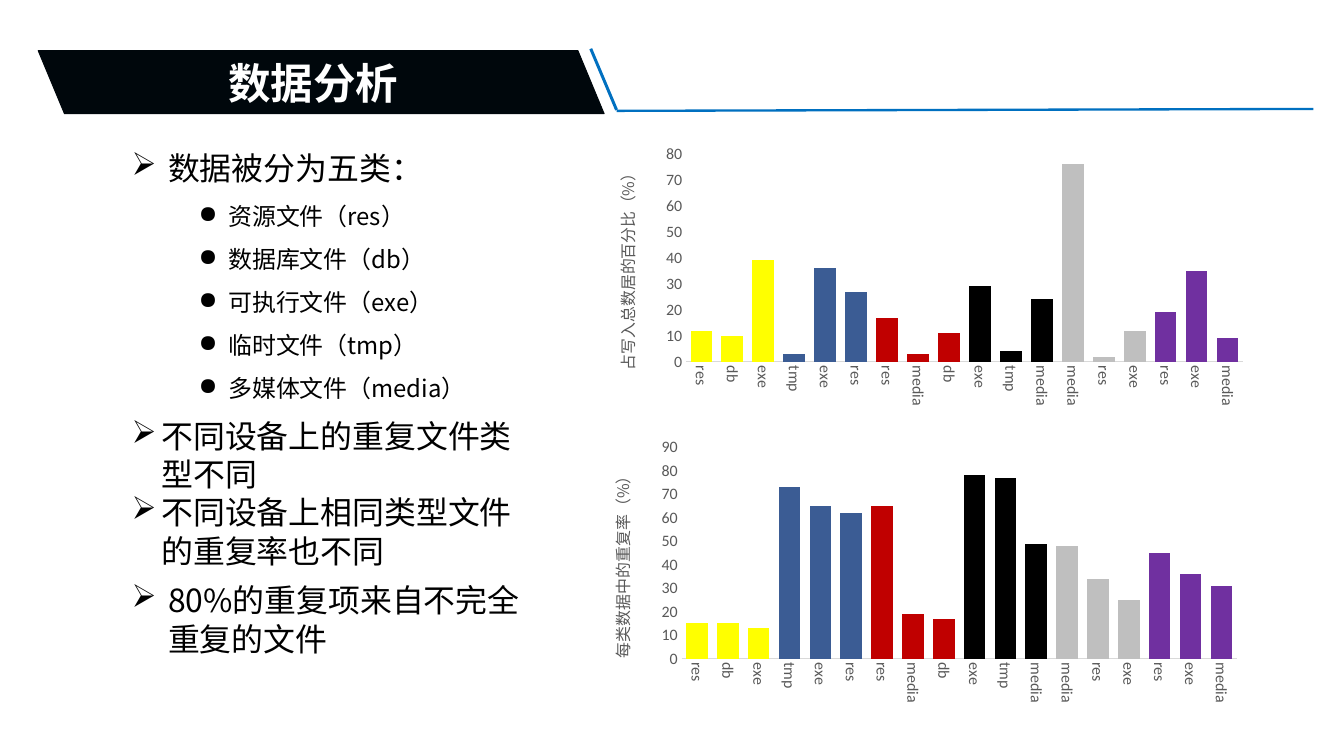
"""Build the data analysis slide: a banner, three bullet lists and two bar charts."""
from lxml import etree
from pptx import Presentation
from pptx import util as u
from pptx.chart import data
from pptx.dml.color import RGBColor
from pptx.enum import chart as ch
from pptx.enum import shapes, text
from pptx.oxml.ns import qn

HUES = {"dark": "00070C", "blue": "0070C0", "white": "FFFFFF", "black": "000000",
        "label": "595959", "axis": "D9D9D9", "yellow": "FFFF00", "navy": "3B5C94",
        "red": "C00000", "grey": "BFBFBF", "purple": "7030A0"}
GROUPS = ["yellow", "navy", "red", "black", "grey", "purple"]
NOTO = "Noto Sans CJK SC"
KINDS = ("res db exe tmp exe res res media db exe tmp media "
         "media res exe res exe media").split()
SHARES = [12, 10, 39, 3, 36, 27, 17, 3, 11, 29, 4, 24, 76, 2, 12, 19, 35, 9]
RATES = [15, 15, 13, 73, 65, 62, 65, 19, 17, 78, 77, 49, 48, 34, 25, 45, 36, 31]
FILES = ["资源文件（res）", "数据库文件（db）", "可执行文件（exe）",
         "临时文件（tmp）", "多媒体文件（media）"]


def hue(name):
    return RGBColor.from_string(HUES[name])


def box(at):
    return [u.Inches(n) for n in at]


def style(font, size, color, name, bold=False):
    font.size, font.bold, font.name = u.Pt(size), bold, name
    font.color.rgb = hue(color)
    if name == NOTO:
        etree.SubElement(font._element, qn("a:ea"), typeface=name)


def add_text(slide, at):
    frame = slide.shapes.add_textbox(*box(at)).text_frame
    frame.word_wrap = True
    frame.auto_size = text.MSO_AUTO_SIZE.SHAPE_TO_FIT_TEXT
    return frame


def add_list(slide, at, items):
    frame = add_text(slide, at)
    for i, (words, level, indent, hang) in enumerate(items):
        para = frame.paragraphs[0] if i == 0 else frame.add_paragraph()
        para.text, para.level = words, level
        if level:
            para.line_spacing = 1.5
        props = para._p.get_or_add_pPr()
        props.set("marL", str(u.Inches(indent)))
        props.set("indent", str(u.Inches(-hang)))
        etree.SubElement(props, qn("a:buChar"), char="●" if level else "➢")
        style(para.font, 18 if level else 24, "black", NOTO)


def add_line(slide, start, end, width):
    line = slide.shapes.add_connector(shapes.MSO_CONNECTOR.STRAIGHT,
                                      *box(start + end))
    line.line.color.rgb = hue("blue")
    line.line.width = u.Pt(width)
    etree.SubElement(line._element.spPr, qn("a:effectLst"))


def add_banner(slide):
    band = slide.shapes.add_shape(shapes.MSO_SHAPE.PARALLELOGRAM,
                                  *box((0.4, 0.53, 5.92, 0.66)))
    band.adjustments[0] = 0.416
    band._element.spPr.xfrm.set("flipH", "1")
    band.shadow.inherit = False
    band.fill.solid()
    band.fill.fore_color.rgb = band.line.color.rgb = hue("dark")
    band.line.width = u.Pt(0.75)
    frame = add_text(slide, (2.39, 0.59, 3.23, 0.54))
    frame.margin_left = frame.margin_right = 0
    frame.margin_top = frame.margin_bottom = 0
    frame.vertical_anchor = text.MSO_ANCHOR.MIDDLE
    frame.text = "数据分析"
    style(frame.paragraphs[0].font, 32, "white", "Arial", True)
    add_line(slide, (6.18, 0.51), (6.45, 1.15), 2.25)
    add_line(slide, (6.45, 1.16), (13.74, 1.14), 1.75)


def place(node, index, **values):
    for old in node.findall(qn("c:layout")):
        node.remove(old)
    layout = etree.Element(qn("c:layout"))
    node.insert(index, layout)
    manual = etree.SubElement(layout, qn("c:manualLayout"))
    for tag, val in values.items():
        etree.SubElement(manual, qn("c:" + tag), val=str(val))


def add_bars(slide, at, title, values, top, spot, area):
    source = data.CategoryChartData()
    source.categories = KINDS
    source.add_series("Series 1", values)
    chart = slide.shapes.add_chart(ch.XL_CHART_TYPE.COLUMN_CLUSTERED,
                                   *box(at), source).chart
    chart.has_legend = chart.has_title = False
    style(chart.font, 10, "black", "Calibri")
    plot = chart.plots[0]
    plot.gap_width, plot.overlap, plot.vary_by_categories = 43, -27, False
    bars = plot.series[0]
    bars.format.fill.solid()
    bars.format.fill.fore_color.rgb = hue("navy")
    for i in range(len(values)):
        fill = bars.points[i].format.fill
        fill.solid()
        fill.fore_color.rgb = hue(GROUPS[i // 3])

    kinds, scale = chart.category_axis, chart.value_axis
    for axis in (kinds, scale):
        axis.has_major_gridlines = False
        axis.major_tick_mark = axis.minor_tick_mark = ch.XL_TICK_MARK.NONE
        style(axis.tick_labels.font, 12, "label", "Calibri")
    kinds.format.line.color.rgb = hue("axis")
    kinds.format.line.width = u.Pt(0.75)
    turn = kinds._element.find(qn("c:txPr")).find(qn("a:bodyPr"))
    turn.set("rot", "5400000")
    turn.set("vert", "horz")
    scale.format.line.fill.background()
    scale.minimum_scale, scale.maximum_scale, scale.major_unit = 0, top, 10

    frame = scale.axis_title.text_frame
    frame.text = title
    style(frame.paragraphs[0].font, 12, "label", NOTO)
    frame._txBody.bodyPr.set("rot", "-5400000")
    frame._txBody.bodyPr.set("vert", "horz")
    place(scale.axis_title._element, 1, xMode="edge", yMode="edge",
          x=spot[0], y=spot[1])
    left, high, wide, tall = area
    place(chart._chartSpace.chart.plotArea, 0, layoutTarget="inner",
          xMode="edge", yMode="edge", x=left, y=high, w=wide, h=tall)


def main():
    deck = Presentation()
    deck.slide_width, deck.slide_height = box((14.06, 7.91))
    slide = deck.slides.add_slide(deck.slide_layouts[6])
    add_banner(slide)
    add_bars(slide, (6.25, 1.51, 6.76, 3), "占写入总数居的百分比（%）", SHARES, 80,
             (0.02, 0.06), (0.137, 0.028, 0.863, 0.73))
    add_bars(slide, (6.2, 4.51, 6.89, 3), "每类数据中的重复率（%）", RATES, 90,
             (0.02, 0.12), (0.135, 0.057, 0.843, 0.737))
    add_list(slide, (1.28, 1.51, 4.33, 2.72),
             [("数据被分为五类：", 0, 0.38, 0.38)]
             + [(name, 1, 1.01, 0.31) for name in FILES])
    add_list(slide, (1.28, 4.31, 4.33, 1.72),
             [("不同设备上的重复文件类型不同", 0, 0.31, 0.31),
              ("不同设备上相同类型文件的重复率也不同", 0, 0.31, 0.31)])
    add_list(slide, (1.28, 6.03, 4.33, 0.91),
             [("80%的重复项来自不完全重复的文件", 0, 0.38, 0.38)])
    deck.save("out.pptx")


if __name__ == "__main__":
    main()
